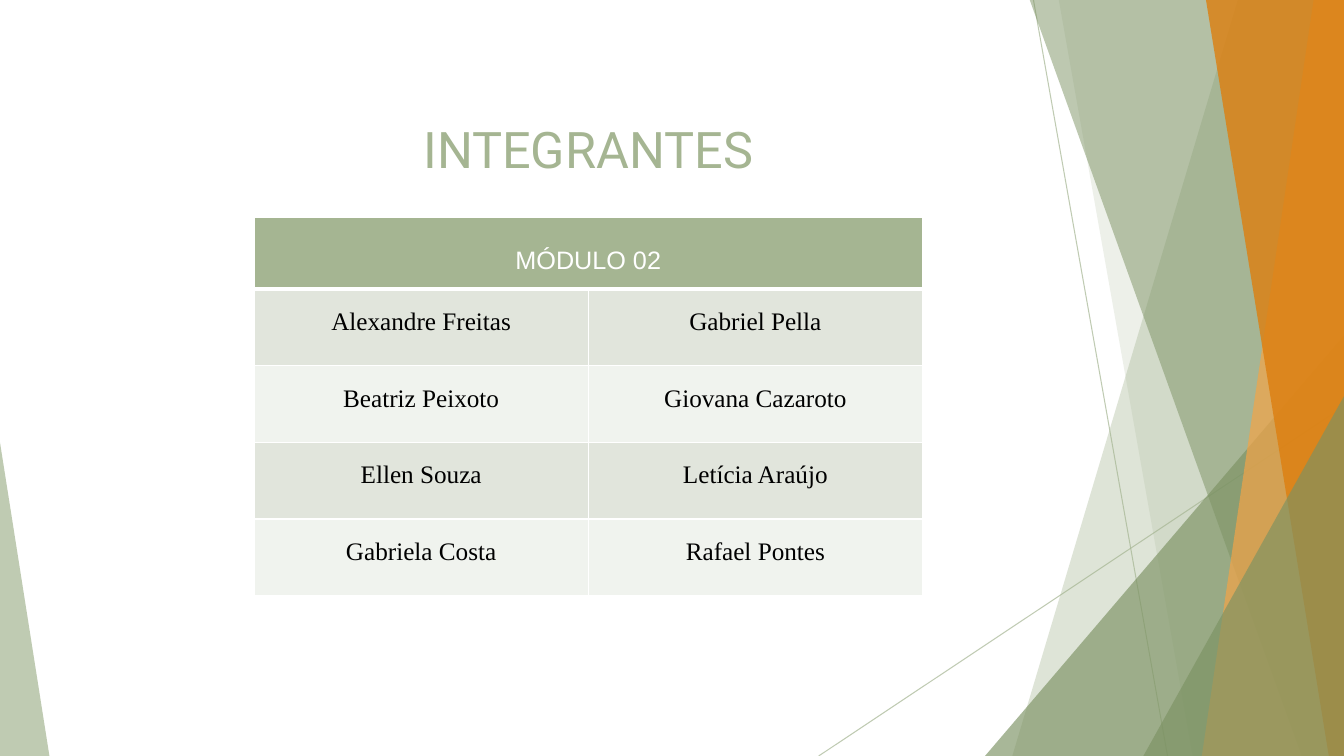
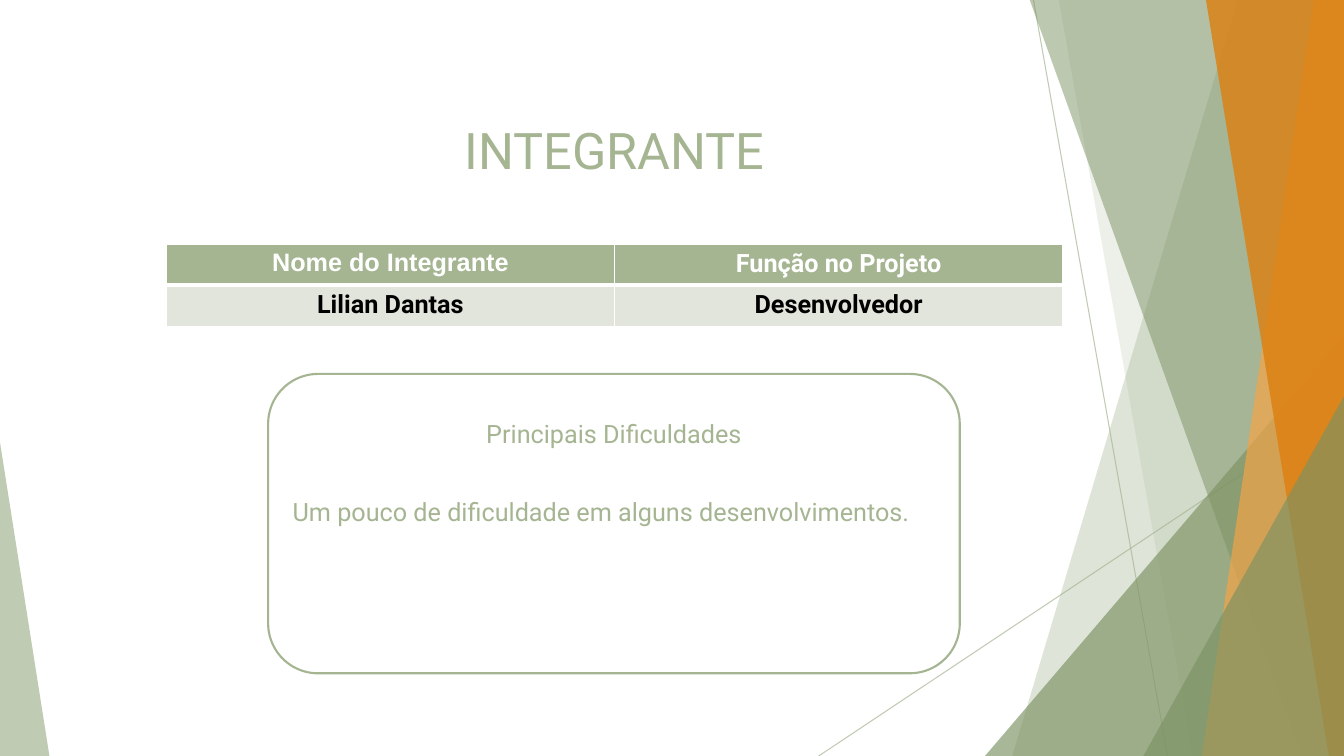
from lxml.etree import SubElement
from pptx import Presentation
from pptx.dml.color import RGBColor
from pptx.enum.shapes import MSO_CONNECTOR, MSO_SHAPE, PP_PLACEHOLDER
from pptx.enum.text import MSO_ANCHOR, MSO_AUTO_SIZE, PP_ALIGN
from pptx.oxml.ns import qn
from pptx.util import Inches, Pt

WIDTH, HEIGHT = 13.33, 7.5
BAND_TOP = -0.01

SAGE = RGBColor(0xA5, 0xB5, 0x92)
MOSS = RGBColor(0x7C, 0x92, 0x63)
AMBER = RGBColor(0xF3, 0xA4, 0x47)
ORANGE = RGBColor(0xDD, 0x7E, 0x0E)
ROW_DARK = RGBColor(0xE1, 0xE5, 0xDC)
ROW_LIGHT = RGBColor(0xF0, 0xF3, 0xEE)
WHITE = RGBColor(0xFF, 0xFF, 0xFF)
BLACK = RGBColor(0x00, 0x00, 0x00)

HEADING_FONT = "Roboto"
TABLE_FONT = "Arial"
NAME_FONT = "Times New Roman"


def set_opacity(shape, percent):
    for color in shape.element.iter(qn("a:srgbClr")):
        SubElement(color, qn("a:alpha"), val=str(percent * 1000))


def paint(shape, color, opacity):
    shape.shadow.inherit = False
    shape.fill.solid()
    shape.fill.fore_color.rgb = color
    shape.line.fill.background()
    set_opacity(shape, opacity)
    return shape


def add_thin_line(slide, *ends):
    line = slide.shapes.add_connector(
        MSO_CONNECTOR.STRAIGHT, *[Inches(value) for value in ends])
    line.line.color.rgb = SAGE
    line.line.width = Pt(0.75)
    set_opacity(line, 70)
    SubElement(line.element.spPr, qn("a:effectLst"))
    return line


def add_band(slide, top_x, bottom_x, color, opacity):
    """Draw a slanted band that reaches the right edge of the slide."""
    corners = [(WIDTH, BAND_TOP), (WIDTH, HEIGHT), (bottom_x, HEIGHT)]
    builder = slide.shapes.build_freeform(Inches(top_x), Inches(BAND_TOP))
    builder.add_line_segments([(Inches(x), Inches(y)) for x, y in corners])
    return paint(builder.convert_to_shape(), color, opacity)


def add_triangle(slide, left, top, right, peak, color, opacity):
    """Draw a triangle on the bottom edge; peak is 0 (left) to 1 (right)."""
    triangle = slide.shapes.add_shape(
        MSO_SHAPE.ISOSCELES_TRIANGLE, Inches(left), Inches(top),
        Inches(right - left), Inches(HEIGHT - top))
    triangle.adjustments[0] = peak
    return paint(triangle, color, opacity)


def decorate_layout(layout, slide):
    """Draw the shared decoration on a slide and move it to its layout."""
    for placeholder in list(layout.placeholders):
        if placeholder.placeholder_format.type != PP_PLACEHOLDER.TITLE:
            layout.shapes.element.remove(placeholder.element)
    decoration = [
        add_thin_line(slide, 10.25, 0, 11.58, HEIGHT),
        add_thin_line(slide, WIDTH, 4.03, 8.12, HEIGHT),
        add_band(slide, 12.28, 10.04, SAGE, 36),
        add_band(slide, 10.5, 11.83, SAGE, 20),
        add_triangle(slide, 9.77, 3.33, WIDTH, 1, MOSS, 66),
        add_band(slide, 10.21, 12.91, MOSS, 50),
        add_band(slide, 13.03, 11.92, AMBER, 70),
        add_band(slide, 11.96, 13.18, ORANGE, 80),
        add_triangle(slide, 11.34, 3.93, WIDTH, 1, MOSS, 66),
        add_triangle(slide, 0, 4.39, 0.49, 0, SAGE, 70),
    ]
    for shape in decoration:
        layout.shapes.element.append(shape.element)


def format_paragraph(paragraph, text, font, color, size=18, bold=False,
                     alignment=PP_ALIGN.CENTER, spacing=None):
    paragraph.text = text
    paragraph.alignment = alignment
    paragraph.line_spacing = spacing
    paragraph.font.name = font
    paragraph.font.size = Pt(size)
    paragraph.font.bold = bold
    paragraph.font.color.rgb = color


def set_title(slide, text, left, top, width):
    title = slide.shapes.title
    title.left, title.top = Inches(left), Inches(top)
    title.width, title.height = Inches(width), Inches(0.71)
    frame = title.text_frame
    frame.auto_size = MSO_AUTO_SIZE.NONE
    frame.vertical_anchor = MSO_ANCHOR.MIDDLE
    format_paragraph(frame.paragraphs[0], text, HEADING_FONT, SAGE, size=36)


def set_borders(cell, bottom):
    properties = cell._tc.get_or_add_tcPr()
    for side, points in (("L", 1), ("R", 1), ("T", 1), ("B", bottom)):
        border = SubElement(properties, qn(f"a:ln{side}"), w=str(Pt(points)))
        fill = SubElement(border, qn("a:solidFill"))
        SubElement(fill, qn("a:srgbClr"), val=str(WHITE))


def fill_cell(cell, text, font, color, background, bottom=1, **text_format):
    set_borders(cell, bottom)
    cell.fill.solid()
    cell.fill.fore_color.rgb = background
    format_paragraph(cell.text_frame.paragraphs[0], text, font, color,
                     **text_format)


def add_table(slide, left, top, width, row_heights):
    """Add a table of two equal columns."""
    table = slide.shapes.add_table(
        len(row_heights), 2, Inches(left), Inches(top), Inches(width),
        Inches(sum(row_heights))).table
    for row, height in zip(table.rows, row_heights):
        row.height = Inches(height)
    return table


def add_members_table(slide):
    members = [
        ("Alexandre Freitas", "Gabriel Pella"),
        ("Beatriz Peixoto", "Giovana Cazaroto"),
        ("Ellen Souza", "Letícia Araújo"),
        ("Gabriela Costa", "Rafael Pontes"),
    ]
    table = add_table(slide, 2.52, 2.16, 6.63, [0.71] + [0.76] * len(members))
    header = table.cell(0, 0)
    header.merge(table.cell(0, 1))
    header.vertical_anchor = MSO_ANCHOR.MIDDLE
    fill_cell(header, "MÓDULO 02", TABLE_FONT, WHITE, SAGE, bottom=3,
              spacing=1.5)
    for row, names in enumerate(members, start=1):
        background = ROW_DARK if row % 2 else ROW_LIGHT
        for column, name in enumerate(names):
            fill_cell(table.cell(row, column), name, NAME_FONT, BLACK,
                      background, spacing=1.5)


def add_role_table(slide):
    columns = [
        ("Nome do Integrante", TABLE_FONT, "Lilian Dantas"),
        ("Função no Projeto", HEADING_FONT, "Desenvolvedor"),
    ]
    table = add_table(slide, 1.65, 2.42, 8.89, [0.41, 0.41])
    for column, (heading, heading_font, value) in enumerate(columns):
        fill_cell(table.cell(0, column), heading, heading_font, WHITE, SAGE,
                  bottom=3, bold=True)
        fill_cell(table.cell(1, column), value, HEADING_FONT, BLACK, ROW_DARK,
                  bold=True)


def add_difficulties_box(slide):
    box = slide.shapes.add_shape(
        MSO_SHAPE.ROUNDED_RECTANGLE, Inches(2.66), Inches(3.71),
        Inches(6.86), Inches(2.97))
    box.shadow.inherit = False
    box.fill.solid()
    box.fill.fore_color.rgb = WHITE
    box.line.color.rgb = SAGE
    box.line.width = Pt(1.5)
    frame = box.text_frame
    frame.word_wrap = True
    frame.vertical_anchor = MSO_ANCHOR.TOP
    frame.margin_top = Inches(0.3)
    format_paragraph(frame.paragraphs[0], "Principais Dificuldades",
                     HEADING_FONT, SAGE)
    answer = frame.add_paragraph()
    answer.space_before = Pt(23)
    format_paragraph(answer,
                     "Um pouco de dificuldade em alguns desenvolvimentos.",
                     HEADING_FONT, SAGE, alignment=PP_ALIGN.JUSTIFY,
                     spacing=1.5)


def main():
    presentation = Presentation()
    presentation.slide_width = Inches(WIDTH)
    presentation.slide_height = Inches(HEIGHT)
    layout = presentation.slide_layouts.get_by_name("Title Only")

    members_slide = presentation.slides.add_slide(layout)
    decorate_layout(layout, members_slide)
    set_title(members_slide, "INTEGRANTES", -0.57, 1.12, 12.81)
    add_members_table(members_slide)

    role_slide = presentation.slides.add_slide(layout)
    set_title(role_slide, "INTEGRANTE", 0.78, 1.13, 10.63)
    add_role_table(role_slide)
    add_difficulties_box(role_slide)

    presentation.save("out.pptx")


if __name__ == "__main__":
    main()
